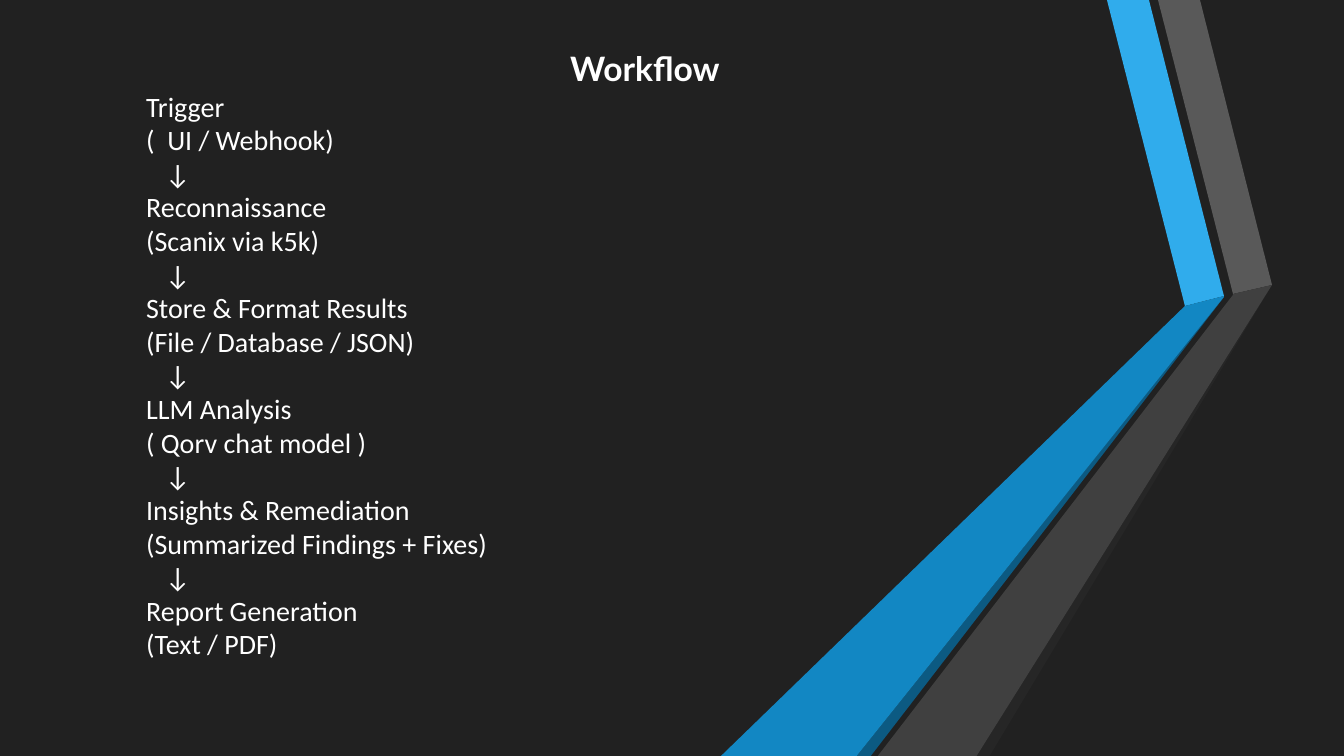
from lxml import etree
from pptx import Presentation
from pptx import util as u
from pptx.dml.color import RGBColor
from pptx.enum import shapes, text
from pptx.oxml.ns import qn

PX = 914400 / 100.8
SLIDE_SIZE = (1344, 756)

COLORS = {
    "background": "212121",
    "text": "FFFFFF",
    "blue": "30ACEC",
    "blue_lower": "1287C3",
    "blue_edge": "0C5A82",
    "gray": "595959",
    "gray_lower": "404040",
    "gray_edge": "262626",
}

TITLE = "Workflow"
TITLE_BOX = (560, 43, 551, 50)
STEPS = [
    ("Trigger", "( UI / Webhook)"),
    ("Reconnaissance", "(Scanix via k5k)"),
    ("Store & Format Results", "(File / Database / JSON)"),
    ("LLM Analysis", "( Qorv chat model )"),
    ("Insights & Remediation", "(Summarized Findings + Fixes)"),
    ("Report Generation", "(Text / PDF)"),
]
STEPS_BOX = (136, 84, 1294, 587)
ARROW = "↓"
ARROW_INDENT = 19
WIDE_OPENING = "( "
OPENING_SPACING = 226  # hundredths of a point per letter

# Ribbon pieces from back to front: color name and corner points
RIBBONS = [
    ("blue", [(1224, 296), (1185, 306), (1107, 0), (1149, 0)]),
    ("gray", [(1233, 294), (1158, 0), (1200, 0), (1272, 285)]),
    ("gray_edge", [(1272, 285), (989, 757), (976, 757)]),
    ("blue_edge", [(1224, 297), (870, 757), (856, 757)]),
    ("blue_lower", [(1224, 296), (1224, 297), (856, 757), (720, 757), (1185, 306)]),
    ("gray_lower", [(1233, 294), (1272, 285), (976, 757), (877, 757),
                    (1226, 304), (1233, 295)]),
]


def px(length):
    return u.Emu(round(length * PX))


def color(name):
    return RGBColor.from_string(COLORS[name])


def paint(shape, name):
    shape.shadow.inherit = False
    shape.fill.solid()
    shape.fill.fore_color.rgb = color(name)
    shape.line.fill.background()


def draw_ribbon(page, name, points):
    builder = page.shapes.build_freeform(*points[0], scale=PX)
    builder.add_line_segments(points[1:], close=True)
    paint(builder.convert_to_shape(), name)


def fill_placeholder(box, place, lines, font_name, size, bold):
    """Place the box in front of the ribbons and write its lines."""
    box.left, box.top, box.width, box.height = map(px, place)
    box.element.getparent().append(box.element)
    frame = box.text_frame
    frame.text = "\n".join(lines)
    frame.word_wrap = True
    frame.auto_size = text.MSO_AUTO_SIZE.NONE
    frame.vertical_anchor = text.MSO_ANCHOR.TOP
    for para in frame.paragraphs:
        para.alignment = text.PP_ALIGN.LEFT
        para.line_spacing = 1.0
        para.space_before = para.space_after = u.Pt(0)
        para.font.name = font_name
        para.font.size = u.Pt(size)
        para.font.bold = bold
        para.font.color.rgb = color("text")
        properties = para.font._element.getparent()
        indent = ARROW_INDENT if para.text == ARROW else 0
        properties.set("marL", str(px(indent)))
        properties.set("indent", "0")
        no_bullet = etree.Element(qn("a:buNone"))
        properties.find(qn("a:defRPr")).addprevious(no_bullet)


def widen_opening(para):
    """Space out the opening bracket of a line from its first word."""
    opening = para.runs[0]
    rest = para.add_run()
    rest.text = opening.text.removeprefix(WIDE_OPENING)
    opening.text = WIDE_OPENING
    opening.font._element.set("spc", str(OPENING_SPACING))


def main():
    deck = Presentation()
    deck.slide_width, deck.slide_height = map(px, SLIDE_SIZE)
    page = deck.slides.add_slide(deck.slide_layouts[1])

    backdrop = page.shapes.add_shape(
        shapes.MSO_SHAPE.RECTANGLE, 0, 0, deck.slide_width, deck.slide_height)
    paint(backdrop, "background")
    page.background.fill.solid()
    page.background.fill.fore_color.rgb = color("background")
    for name, points in RIBBONS:
        draw_ribbon(page, name, points)

    lines = []
    for step in STEPS:
        if lines:
            lines.append(ARROW)
        lines.extend(step)
    body = page.placeholders[1]
    fill_placeholder(body, STEPS_BOX, lines, "Calibri", 20, False)
    widen_opening(body.text_frame.paragraphs[1])
    fill_placeholder(page.shapes.title, TITLE_BOX, [TITLE], "Lato", 24, True)
    deck.save("out.pptx")


if __name__ == "__main__":
    main()
